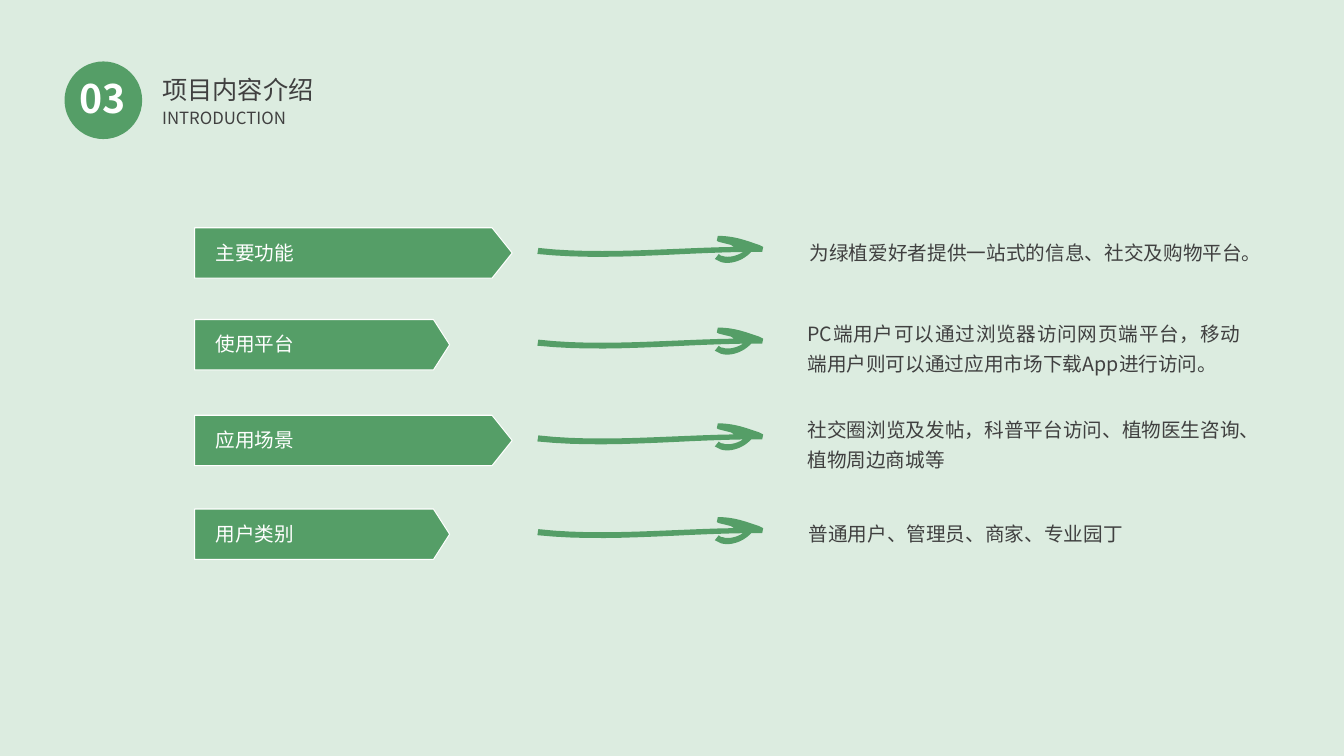
import pptx
import pptx.dml.color
import pptx.enum.shapes
import pptx.enum.text
import pptx.oxml
import pptx.oxml.ns
import pptx.util

Inches = pptx.util.Inches
ALIGN = pptx.enum.text.PP_ALIGN
SHAPE = pptx.enum.shapes.MSO_SHAPE

COLORS = {"background": "DCECE0", "green": "559E67", "white": "FFFFFF", "ink": "404040"}
FONT = "Noto Sans CJK SC"

NUMBER = "03"
TITLE = "项目内容介绍"
SUBTITLE = "INTRODUCTION"

# label, banner width, banner top, detail, detail left, lines of detail
TOPICS = [
    ("主要功能", 3.15, 2.26, "为绿植爱好者提供一站式的信息、社交及购物平台。", 7.93, 1),
    ("使用平台", 2.53, 3.17,
     "PC端用户可以通过浏览器访问网页端平台，移动端用户则可以通过应用市场下载App进行访问。", 7.91, 2),
    ("应用场景", 3.15, 4.12, "社交圈浏览及发帖，科普平台访问、植物医生咨询、植物周边商城等", 7.91, 2),
    ("用户类别", 2.53, 5.05, "普通用户、管理员、商家、专业园丁", 7.92, 1),
]
BANNER_LEFT, BANNER_HEIGHT = 1.93, 0.5
ARROW_LEFT, ARROW_DROP = 5.33, 0.08

# Brush arrow: start point, then segments of one point (line) or three (curve)
ARROW_START = (2.12, 0.16)
ARROW_SEGMENTS = [
    [(2.05, 0.24), (1.92, 0.29), (1.82, 0.26)],
    [(1.80, 0.25), (1.78, 0.24), (1.76, 0.23)],
    [(1.80, 0.18)],
    [(1.81, 0.19), (1.82, 0.20), (1.84, 0.20)],
    [(1.89, 0.22), (1.98, 0.20), (2.04, 0.16)],
    [(1.37, 0.17), (0.66, 0.25), (0.00, 0.18)],
    [(0.01, 0.12)],
    [(0.63, 0.19), (1.31, 0.12), (1.95, 0.11)],
    [(1.92, 0.09)],
    [(1.80, 0.06)],
    [(1.78, 0.05)],
    [(1.79, 0.00)],
    [(1.89, 0.00), (1.99, 0.02), (2.08, 0.05)],
    [(2.20, 0.09)],
    [(2.24, 0.11)],
    [(2.23, 0.16)],
]
CURVE_STEPS = 12


def rgb(name):
    return pptx.dml.color.RGBColor.from_string(COLORS[name])


def paint(shape, outline=None):
    shape.shadow.inherit = False
    shape.fill.solid()
    shape.fill.fore_color.rgb = rgb("green")
    if outline:
        shape.line.color.rgb = rgb(outline)
        shape.line.width = pptx.util.Pt(0.75)
    else:
        shape.line.fill.background()


def write(box, text, size, color, align=ALIGN.LEFT, spacing=1.0, bold=False, wrap=True):
    frame = box.text_frame
    frame.text = text
    frame_format = {
        "word_wrap": wrap,
        "auto_size": pptx.enum.text.MSO_AUTO_SIZE.SHAPE_TO_FIT_TEXT,
        "vertical_anchor": pptx.enum.text.MSO_ANCHOR.TOP,
    }
    paragraph = frame.paragraphs[0]
    font = paragraph.runs[0].font
    font_format = {"name": FONT, "size": pptx.util.Pt(size), "bold": bold}
    paragraph_format = {"alignment": align, "line_spacing": spacing}
    for target, values in ((frame, frame_format), (paragraph, paragraph_format), (font, font_format)):
        for attribute, value in values.items():
            setattr(target, attribute, value)
    font.color.rgb = rgb(color)
    run_properties = paragraph.runs[0]._r.get_or_add_rPr()
    east_asian = pptx.oxml.parse_xml(
        f'<a:ea {pptx.oxml.ns.nsdecls("a")} typeface="{FONT}"/>')
    run_properties.find(pptx.oxml.ns.qn("a:latin")).addnext(east_asian)


def add_text(slide, left, top, width, height, *content, **formats):
    box = slide.shapes.add_textbox(Inches(left), Inches(top), Inches(width), Inches(height))
    write(box, *content, **formats)


def outline_points():
    """Flatten the arrow's cubic curves into short straight steps."""
    points = [ARROW_START]
    for segment in ARROW_SEGMENTS:
        if len(segment) == 1:
            points += segment
            continue
        corners = [points[-1], *segment]
        for step in range(1, CURVE_STEPS + 1):
            t = step / CURVE_STEPS
            weights = ((1 - t) ** 3, 3 * t * (1 - t) ** 2, 3 * t ** 2 * (1 - t), t ** 3)
            points.append(tuple(sum(w * corner[axis] for w, corner in zip(weights, corners))
                                for axis in (0, 1)))
    return points


def add_brush_arrow(slide, left, top):
    start, *rest = [(Inches(left + x), Inches(top + y)) for x, y in outline_points()]
    builder = slide.shapes.build_freeform(*start)
    builder.add_line_segments(rest, close=True)
    paint(builder.convert_to_shape())


def add_topic(slide, label, width, top, detail, detail_left, lines):
    banner = slide.shapes.add_shape(SHAPE.PENTAGON, Inches(BANNER_LEFT), Inches(top),
                                    Inches(width), Inches(BANNER_HEIGHT))
    banner.adjustments[0] = 0.4 if width > 3 else 0.32
    paint(banner, outline="white")
    add_brush_arrow(slide, ARROW_LEFT, top + ARROW_DROP)
    text_top = top + 0.02
    body = {"align": ALIGN.JUSTIFY, "spacing": 1.25}
    add_text(slide, 2.04, text_top, width - 0.1, 0.37, label, 14, "white", **body)
    detail_top = text_top if lines == 1 else top - 0.08
    add_text(slide, detail_left, detail_top, 4.49, 0.08 + 0.29 * lines, detail, 14, "ink", **body)


def add_heading(slide):
    badge = slide.shapes.add_shape(SHAPE.OVAL, Inches(0.64), Inches(0.61), Inches(0.77), Inches(0.77))
    paint(badge)
    add_text(slide, 0.66, 0.69, 0.72, 0.57, NUMBER, 28, "white", align=ALIGN.CENTER, bold=True)
    title = slide.shapes.title
    place = {"left": 1.51, "top": 0.54, "width": 1.73, "height": 0.5}
    for attribute, value in place.items():
        setattr(title, attribute, Inches(value))
    write(title, TITLE, 18, "ink", spacing=1.5, wrap=False)
    add_text(slide, 1.51, 1.02, 4.64, 0.3, SUBTITLE, 12, "ink")


def main():
    deck = pptx.Presentation()
    deck.slide_width, deck.slide_height = Inches(13.33), Inches(7.5)
    slide = deck.slides.add_slide(deck.slide_layouts[5])
    slide.background.fill.solid()
    slide.background.fill.fore_color.rgb = rgb("background")
    add_heading(slide)
    for topic in TOPICS:
        add_topic(slide, *topic)
    deck.save("out.pptx")


if __name__ == "__main__":
    main()
